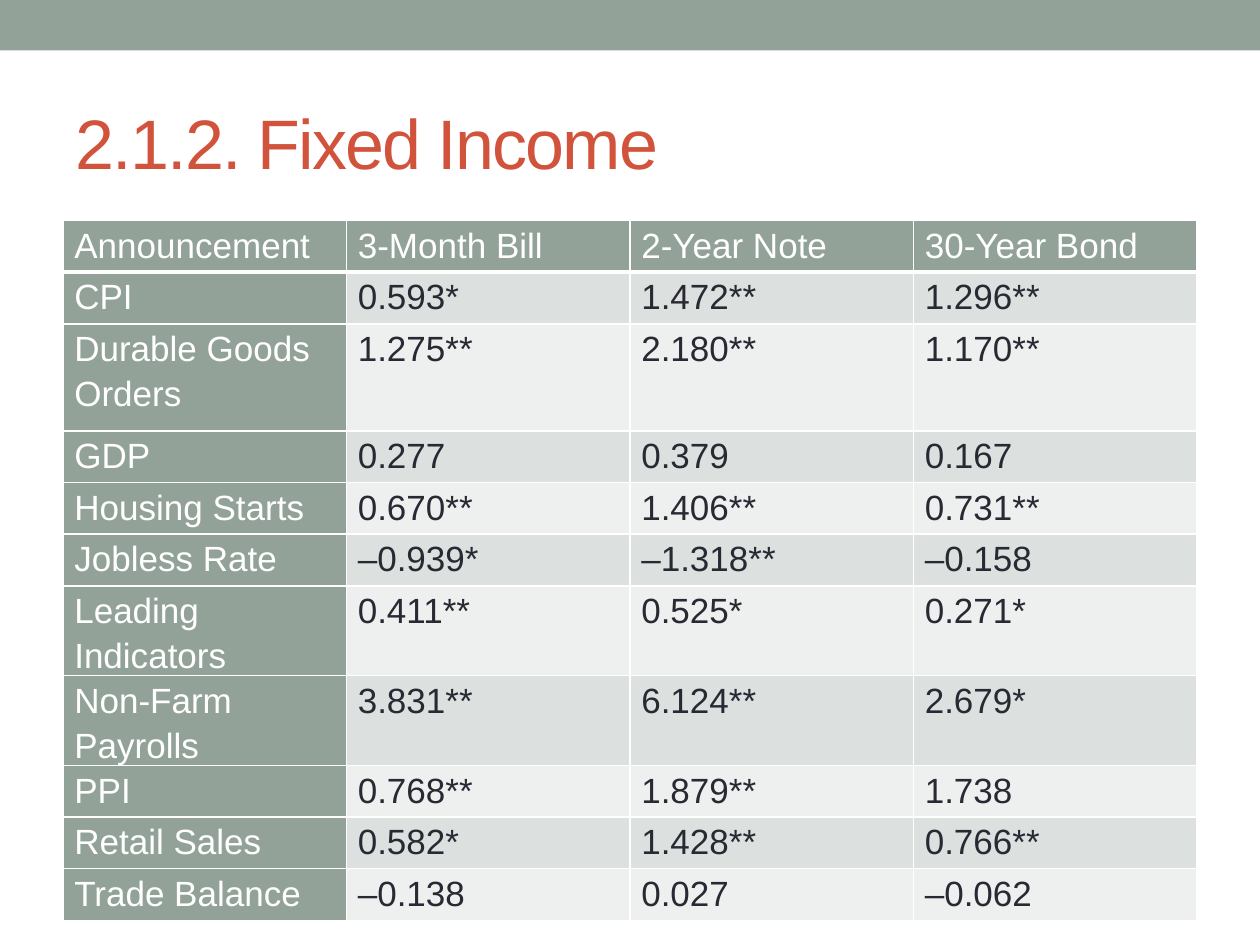
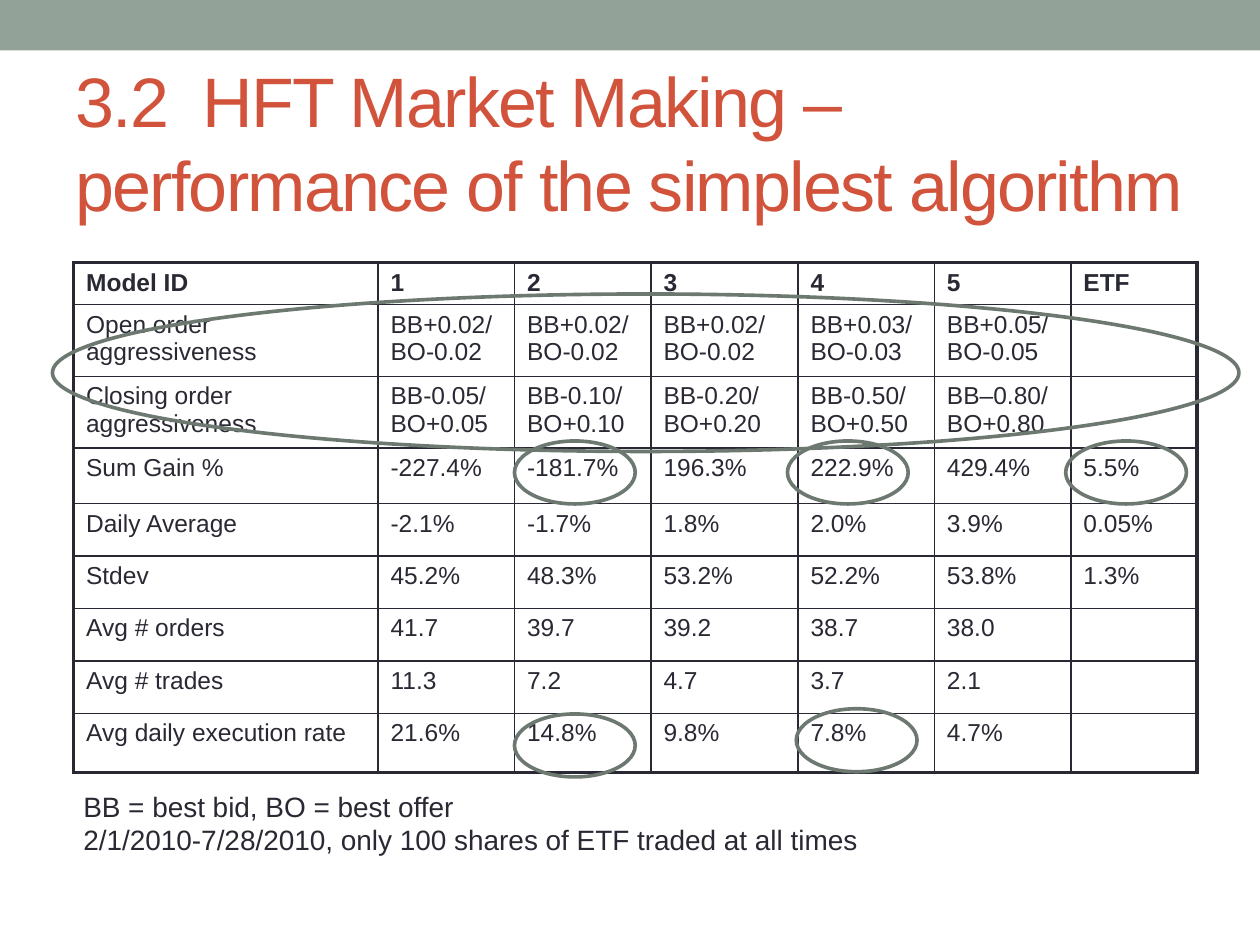
"""Builds two slides of market result tables on a 120 by 90 grid."""
from lxml.etree import SubElement
from pptx import Presentation
from pptx.dml.color import RGBColor
from pptx.enum.shapes import MSO_SHAPE as Preset
from pptx.enum.text import MSO_ANCHOR as Anchor, MSO_AUTO_SIZE as AutoSize
from pptx.oxml.ns import qn
from pptx.util import Inches, Pt

SAGE, RUST, INK, MOSS, WHITE = "93A299", "D2533C", "292934", "6D7871", "FFFFFF"
BANDS = "DCE0DE", "EEF0EF"
COLUMNS, ROWS = 120, 90

ANNOUNCEMENT_EFFECTS = [
    ["Announcement", "3-Month Bill", "2-Year Note", "30-Year Bond"],
    ["CPI", "0.593*", "1.472**", "1.296**"],
    ["Durable Goods Orders", "1.275**", "2.180**", "1.170**"],
    ["GDP", "0.277", "0.379", "0.167"],
    ["Housing Starts", "0.670**", "1.406**", "0.731**"],
    ["Jobless Rate", "–0.939*", "–1.318**", "–0.158"],
    ["Leading Indicators", "0.411**", "0.525*", "0.271*"],
    ["Non-Farm Payrolls", "3.831**", "6.124**", "2.679*"],
    ["PPI", "0.768**", "1.879**", "1.738"],
    ["Retail Sales", "0.582*", "1.428**", "0.766**"],
    ["Trade Balance", "–0.138", "0.027", "–0.062"],
]
MODEL_RESULTS = [
    ["Model ID", "1", "2", "3", "4", "5", "ETF"],
    ["Open order aggressiveness", "BB+0.02/ BO-0.02", "BB+0.02/ BO-0.02",
     "BB+0.02/ BO-0.02", "BB+0.03/ BO-0.03", "BB+0.05/ BO-0.05", ""],
    ["Closing order aggressiveness", "BB-0.05/ BO+0.05", "BB-0.10/ BO+0.10",
     "BB-0.20/ BO+0.20", "BB-0.50/ BO+0.50", "BB–0.80/ BO+0.80", ""],
    ["Sum Gain %", "-227.4%", "-181.7%", "196.3%", "222.9%", "429.4%", "5.5%"],
    ["Daily Average", "-2.1%", "-1.7%", "1.8%", "2.0%", "3.9%", "0.05%"],
    ["Stdev", "45.2%", "48.3%", "53.2%", "52.2%", "53.8%", "1.3%"],
    ["Avg # orders", "41.7", "39.7", "39.2", "38.7", "38.0", ""],
    ["Avg # trades", "11.3", "7.2", "4.7", "3.7", "2.1", ""],
    ["Avg daily execution rate", "21.6%", "14.8%", "9.8%", "7.8%", "4.7%", ""],
]


def rgb(hex_code):
    return RGBColor.from_string(hex_code)


def write(frame, text, size, color=INK, bold=False, tracking=0, leading=None, after=None):
    for index, line in enumerate(text.split("\n")):
        paragraph = frame.add_paragraph() if index else frame.paragraphs[0]
        paragraph.line_spacing = leading
        if after is not None:
            paragraph.space_after = Pt(after)
        run = paragraph.add_run()
        run.text = line
        font = run.font
        font.name, font.size, font.bold = "Arial", Pt(size), bold
        font.color.rgb = rgb(color)
        if tracking:
            run._r.get_or_add_rPr().set("spc", str(tracking * 100))


def set_borders(cell, color, widths):
    properties = cell._tc.get_or_add_tcPr()
    for side, width in zip("LRTB", widths):
        edge = SubElement(properties, qn(f"a:ln{side}"), w=str(Pt(width)))
        solid = SubElement(edge, qn("a:solidFill"))
        SubElement(solid, qn("a:srgbClr"), val=color)


class Deck:
    def __init__(self):
        self.file = Presentation()
        self.file.slide_width, self.file.slide_height = Inches(10), Inches(7.5)
        self.slide = None

    def across(self, columns):
        return round(self.file.slide_width * columns / COLUMNS)

    def down(self, rows):
        return round(self.file.slide_height * rows / ROWS)

    def place(self, left, top, width, height):
        return self.across(left), self.down(top), self.across(width), self.down(height)

    def new_slide(self, title):
        self.slide = self.file.slides.add_slide(self.file.slide_layouts[6])
        self.shape(Preset.RECTANGLE, 0, 0, COLUMNS, 4.8, fill=SAGE)
        self.text(title, 6, 7, 108, 13, anchor=Anchor.MIDDLE,
                  size=40, color=RUST, tracking=-1)

    def shape(self, preset, *area, fill=None, line=None, weight=2.08):
        shape = self.slide.shapes.add_shape(preset, *self.place(*area))
        shape.shadow.inherit = False
        if fill:
            shape.fill.solid()
            shape.fill.fore_color.rgb = rgb(fill)
        else:
            shape.fill.background()
        if line:
            shape.line.color.rgb = rgb(line)
            shape.line.width = Pt(weight)
        else:
            shape.line.fill.background()

    def text(self, words, *area, anchor=Anchor.TOP, wrap=True, **style):
        frame = self.slide.shapes.add_textbox(*self.place(*area)).text_frame
        frame.word_wrap, frame.vertical_anchor = wrap, anchor
        frame.auto_size = AutoSize.NONE if wrap else AutoSize.SHAPE_TO_FIT_TEXT
        write(frame, words, **style)

    def table(self, entries, left, top, widths, heights, look):
        area = self.place(left, top, sum(widths), sum(heights))
        table = self.slide.shapes.add_table(len(heights), len(widths), *area).table
        table.first_row = table.horz_banding = False
        for column, width in zip(table.columns, widths):
            column.width = self.across(width)
        for row, height in zip(table.rows, heights):
            row.height = self.down(height)
        for r, entry_row in enumerate(entries):
            for c, entry in enumerate(entry_row):
                look(table.cell(r, c), entry, r, c)


def announcement_cell(cell, entry, row, column):
    heading = row == 0 or column == 0
    cell.margin_left = cell.margin_right = Inches(0.09)
    cell.margin_top = cell.margin_bottom = 0
    set_borders(cell, WHITE, (1, 1, 1, 1 if row else 3))
    cell.fill.solid()
    cell.fill.fore_color.rgb = rgb(SAGE if heading else BANDS[(row - 1) % 2])
    write(cell.text_frame, entry, size=20, color=WHITE if heading else INK,
          leading=1.15, after=3 if row else 0)


def model_cell(cell, entry, row, column):
    outer = (column == 0, column == len(MODEL_RESULTS[0]) - 1,
             row == 0, row == len(MODEL_RESULTS) - 1)
    set_borders(cell, INK, [2.25 if edge else 1 for edge in outer])
    cell.fill.background()
    if entry:
        write(cell.text_frame, entry, size=14, bold=row == 0)


def main():
    deck = Deck()

    deck.new_slide("2.1.2. Fixed Income")
    single, double = 4.92, 8.28
    deck.table(ANNOUNCEMENT_EFFECTS, 6, 21, [27] * 4,
               [single] * 2 + [10.2] + [single] * 3 + [double] * 2 + [single] * 3,
               announcement_cell)

    deck.new_slide("3.2  HFT Market Making – performance of the simplest algorithm")
    deck.table(MODEL_RESULTS, 7, 25, [29, 13, 13, 14, 13, 13, 12],
               [4] + [6.84] * 2 + [5.28] + [5] * 4 + [5.64], model_cell)
    deck.shape(Preset.OVAL, 5, 28, 113, 15, line=MOSS)
    for left, top in [(49, 42), (75, 42), (101.5, 42), (49, 68), (75.84, 67.5)]:
        deck.shape(Preset.OVAL, left, top, 11.5, 6, line=MOSS)
    deck.text("BB = best bid, BO = best offer\n"
              "2/1/2010-7/28/2010, only 100 shares of ETF traded at all times",
              6.75, 74.6, 76.7, 7.7, wrap=False, size=16)

    deck.file.save("out.pptx")


if __name__ == "__main__":
    main()
